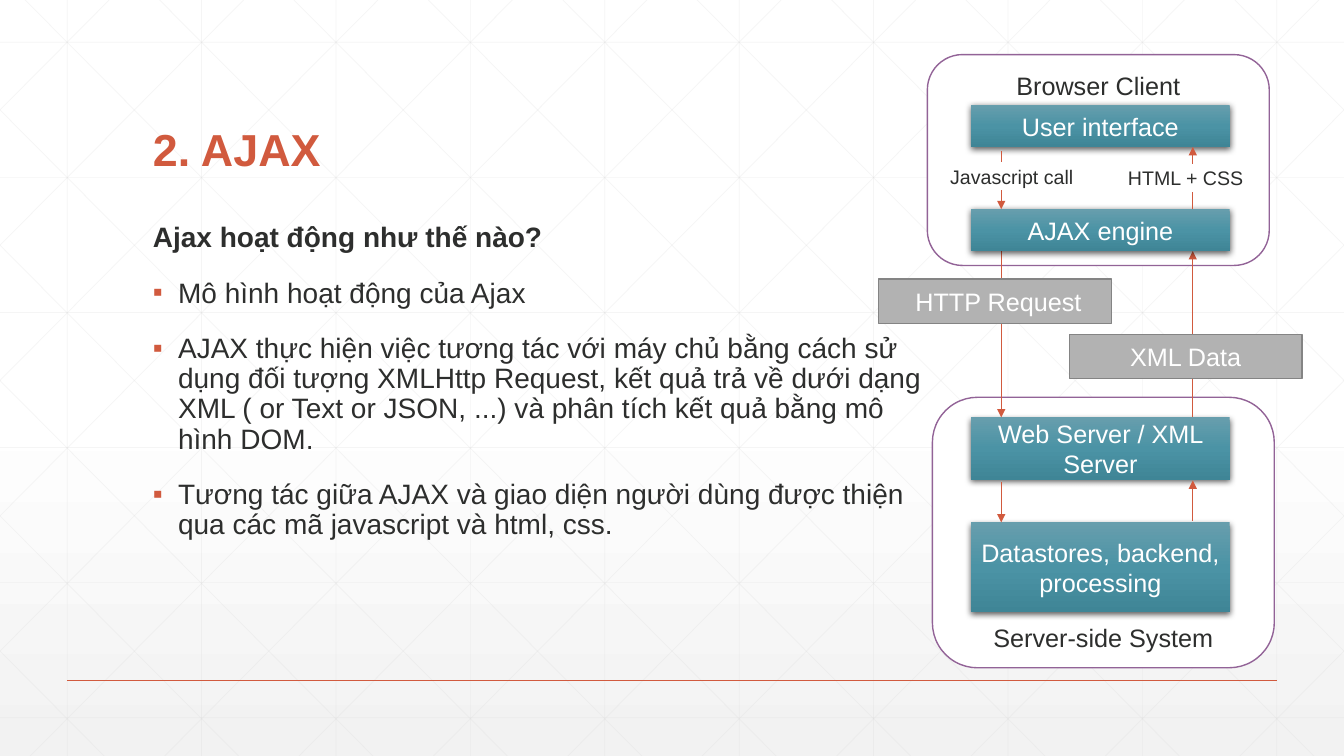
from dataclasses import dataclass
from typing import NamedTuple

from pptx import Presentation
from pptx.dml.color import RGBColor
from pptx.enum.shapes import MSO_CONNECTOR, MSO_SHAPE
from pptx.enum.text import MSO_ANCHOR, MSO_AUTO_SIZE, PP_ALIGN
from pptx.oxml import parse_xml
from pptx.oxml.ns import nsdecls, qn
from pptx.util import Inches, Pt


@dataclass(frozen=True)
class Theme:
    font: str = "Arial"
    accent: str = "D15A3E"
    ink: str = "2D2E2D"
    white: str = "FFFFFF"
    lattice: str = "D9D9D9"
    frame: str = "926397"
    label: str = "B2B2B2"
    label_edge: str = "848484"
    paper: tuple = ((0, "FFFFFF"), (53, "FFFFFF"), (100, "F2F2F2"))
    teal: tuple = ((0, "679EAD"), (50, "4B93A5"), (100, "3F8596"))
    title_size: int = 32
    body_size: int = 20
    box_size: int = 18
    note_size: int = 14


class Area(NamedTuple):
    left: float
    top: float
    width: float
    height: float


class Box(NamedTuple):
    text: str
    area: Area
    fill: str | tuple
    edge: str | None
    ink: str
    size: int
    preset: MSO_SHAPE = MSO_SHAPE.RECTANGLE
    anchor: MSO_ANCHOR = MSO_ANCHOR.MIDDLE


class Arrow(NamedTuple):
    column: float
    start_row: float
    end_row: float


THEME = Theme()
COLUMNS, ROWS = 160, 90

presentation = Presentation()
presentation.slide_width, presentation.slide_height = Inches(13.33), Inches(7.5)
slide = presentation.slides.add_slide(presentation.slide_layouts[1])


def across(columns: float) -> int:
    return round(presentation.slide_width * columns / COLUMNS)


def down(rows: float) -> int:
    return round(presentation.slide_height * rows / ROWS)


def place(shape, area: Area) -> None:
    shape.left, shape.top = across(area.left), down(area.top)
    shape.width, shape.height = across(area.width), down(area.height)


def set_font(paragraph, size: int, color: str, bold: bool = False) -> None:
    font = paragraph.font
    font.name, font.size, font.bold = THEME.font, Pt(size), bold
    font.color.rgb = RGBColor.from_string(color)


def set_gradient(fill, element, stops: tuple) -> None:
    fill.gradient()
    fill.gradient_angle = 270
    stop_list = element.find(".//" + qn("a:gsLst"))
    stop_list.clear()
    for position, color in stops:
        stop_list.append(parse_xml(
            f'<a:gs {nsdecls("a")} pos="{position * 1000}"><a:srgbClr val="{color}"/></a:gs>'))


def add_line(shapes, start: tuple, end: tuple, color: str, width: float,
             opacity: int = 100, arrow: bool = False) -> None:
    line = shapes.add_connector(MSO_CONNECTOR.STRAIGHT, across(start[0]), down(start[1]),
                                across(end[0]), down(end[1]))
    line.line.color.rgb = RGBColor.from_string(color)
    line.line.width = Pt(width)
    properties = line.element.spPr
    if opacity < 100:
        properties.find(".//" + qn("a:srgbClr")).append(
            parse_xml(f'<a:alpha {nsdecls("a")} val="{opacity * 1000}"/>'))
    if arrow:
        properties.find(qn("a:ln")).append(
            parse_xml(f'<a:tailEnd {nsdecls("a")} type="triangle"/>'))
    properties.append(parse_xml(f'<a:effectLst {nsdecls("a")}/>'))


def add_box(box: Box) -> None:
    shape = slide.shapes.add_shape(box.preset, 0, 0, 0, 0)
    place(shape, box.area)
    shape.shadow.inherit = False
    if isinstance(box.fill, tuple):
        set_gradient(shape.fill, shape.element, box.fill)
        shape.element.spPr.find(qn("a:effectLst")).append(parse_xml(
            f'<a:outerShdw {nsdecls("a")} blurRad="{Pt(4.5)}" dist="{Pt(1.5)}" dir="5400000" '
            'algn="ctr" rotWithShape="0"><a:srgbClr val="000000"><a:alpha val="63000"/>'
            '</a:srgbClr></a:outerShdw>'))
    else:
        shape.fill.solid()
        shape.fill.fore_color.rgb = RGBColor.from_string(box.fill)
    if box.edge:
        shape.line.color.rgb = RGBColor.from_string(box.edge)
        shape.line.width = Pt(1)
    else:
        shape.line.fill.background()
    frame = shape.text_frame
    frame.word_wrap, frame.vertical_anchor = True, box.anchor
    frame.margin_bottom = Inches(0.02) if box.anchor == MSO_ANCHOR.BOTTOM else Inches(0.05)
    paragraph = frame.paragraphs[0]
    paragraph.text, paragraph.alignment = box.text, PP_ALIGN.CENTER
    set_font(paragraph, box.size, box.ink)


def set_bullet(paragraph, bulleted: bool) -> None:
    properties = paragraph._p.get_or_add_pPr()
    indent = Inches(0.25) if bulleted else 0
    properties.set("marL", str(indent))
    properties.set("indent", str(-indent))
    marks = (f'<a:buClr {nsdecls("a")}><a:srgbClr val="{THEME.accent}"/></a:buClr>',
             f'<a:buFont {nsdecls("a")} typeface="{THEME.font}"/>',
             f'<a:buChar {nsdecls("a")} char="▪"/>')
    for mark in marks if bulleted else (f'<a:buNone {nsdecls("a")}/>',):
        properties.append(parse_xml(mark))


# Background and lattice
set_gradient(slide.background.fill, slide.element, THEME.paper)
lattice = slide.shapes.add_group_shape()
lattice_lines = [((8 + 16 * i, 0), (8 + 16 * i, ROWS)) for i in range(10)]
lattice_lines += [((0, 5.04 + 16.08 * i), (COLUMNS, 5.04 + 16.08 * i)) for i in range(6)]
RUN = 89.4
for i in range(-5, 10):
    top = 3 + 16 * i
    first, last = max(0, top), min(COLUMNS, top + RUN)
    first_row, last_row = ((column - top) * ROWS / RUN for column in (first, last))
    lattice_lines += [((first, first_row), (last, last_row)),
                      ((COLUMNS - first, first_row), (COLUMNS - last, last_row))]
for start, end in lattice_lines:
    add_line(lattice.shapes, start, end, THEME.lattice, 0.5, opacity=25)
add_line(slide.shapes, (8, 81), (152, 81), THEME.accent, 1)

# Title and body, brought in front of the lattice
title, body = slide.placeholders
for placeholder, area, anchor in ((title, Area(17, 6.6, 126, 15), MSO_ANCHOR.BOTTOM),
                                  (body, Area(17, 26, 94, 50), MSO_ANCHOR.TOP)):
    place(placeholder, area)
    placeholder.text_frame.vertical_anchor = anchor
    placeholder.text_frame.auto_size = MSO_AUTO_SIZE.NONE
    placeholder.element.getparent().append(placeholder.element)
title.text_frame.text = "2. AJAX"
heading = title.text_frame.paragraphs[0]
heading.alignment, heading.line_spacing = PP_ALIGN.LEFT, 0.9
set_font(heading, THEME.title_size, THEME.accent, bold=True)

body.text_frame.text = "\n".join((
    "Ajax hoạt động như thế nào?",
    "Mô hình hoạt động của Ajax",
    "AJAX thực hiện việc tương tác với máy chủ bằng cách sử dụng đối tượng XMLHttp Request, "
    "kết quả trả về dưới dạng XML ( or Text or JSON, ...) và phân tích kết quả bằng mô hình DOM.",
    "Tương tác giữa AJAX và giao diện người dùng được thiện qua các mã javascript và html, css."))
for index, paragraph in enumerate(body.text_frame.paragraphs):
    paragraph.line_spacing, paragraph.space_before = 0.9, Pt(18)
    set_bullet(paragraph, bulleted=index > 0)
    set_font(paragraph, THEME.body_size, THEME.ink, bold=index == 0)


# Diagram: frames, arrows, then the boxes and labels over them
def framed(text: str, area: Area, anchor: MSO_ANCHOR) -> Box:
    return Box(text, area, THEME.white, THEME.frame, THEME.ink, THEME.box_size,
               MSO_SHAPE.ROUNDED_RECTANGLE, anchor)


def layer(text: str, top: float, height: float) -> Box:
    return Box(text, Area(115.6, top, 30.8, height), THEME.teal, None, THEME.white, THEME.box_size)


def message(text: str, left: float, top: float) -> Box:
    return Box(text, Area(left, top, 27.7, 5.3), THEME.label, THEME.label_edge,
               THEME.white, THEME.box_size)


def note(text: str, left: float, top: float) -> Box:
    return Box(text, Area(left, top, 17.5, 3.2), THEME.white, THEME.white,
               THEME.ink, THEME.note_size)


REQUEST, RESPONSE = 119.2, 142
diagram = (
    framed("Browser Client", Area(110.4, 6.5, 40.7, 25.1), MSO_ANCHOR.TOP),
    framed("Server-side System", Area(111, 47.3, 40.7, 32.2), MSO_ANCHOR.BOTTOM),
    layer("User interface", 12.5, 5),
    layer("Web Server / XML Server", 49.7, 7.4),
    layer("Datastores, backend, processing", 62.2, 10.7),
    Arrow(REQUEST, 57.4, 62.2), Arrow(RESPONSE, 62, 57.2),
    Arrow(RESPONSE, 49.7, 29.9), Arrow(REQUEST, 28.8, 49.7),
    message(" HTTP Request", 104.6, 33.2), message("XML Data", 127.3, 39.8),
    layer("AJAX engine", 24.9, 5),
    Arrow(REQUEST, 18, 24.9), Arrow(RESPONSE, 24.9, 17.5),
    note("Javascript call", 111.7, 19.4), note("HTML + CSS", 132.4, 19.6),
)
for part in diagram:
    if isinstance(part, Arrow):
        add_line(slide.shapes, (part.column, part.start_row), (part.column, part.end_row),
                 THEME.accent, 0.5, arrow=True)
    else:
        add_box(part)

presentation.save("out.pptx")
